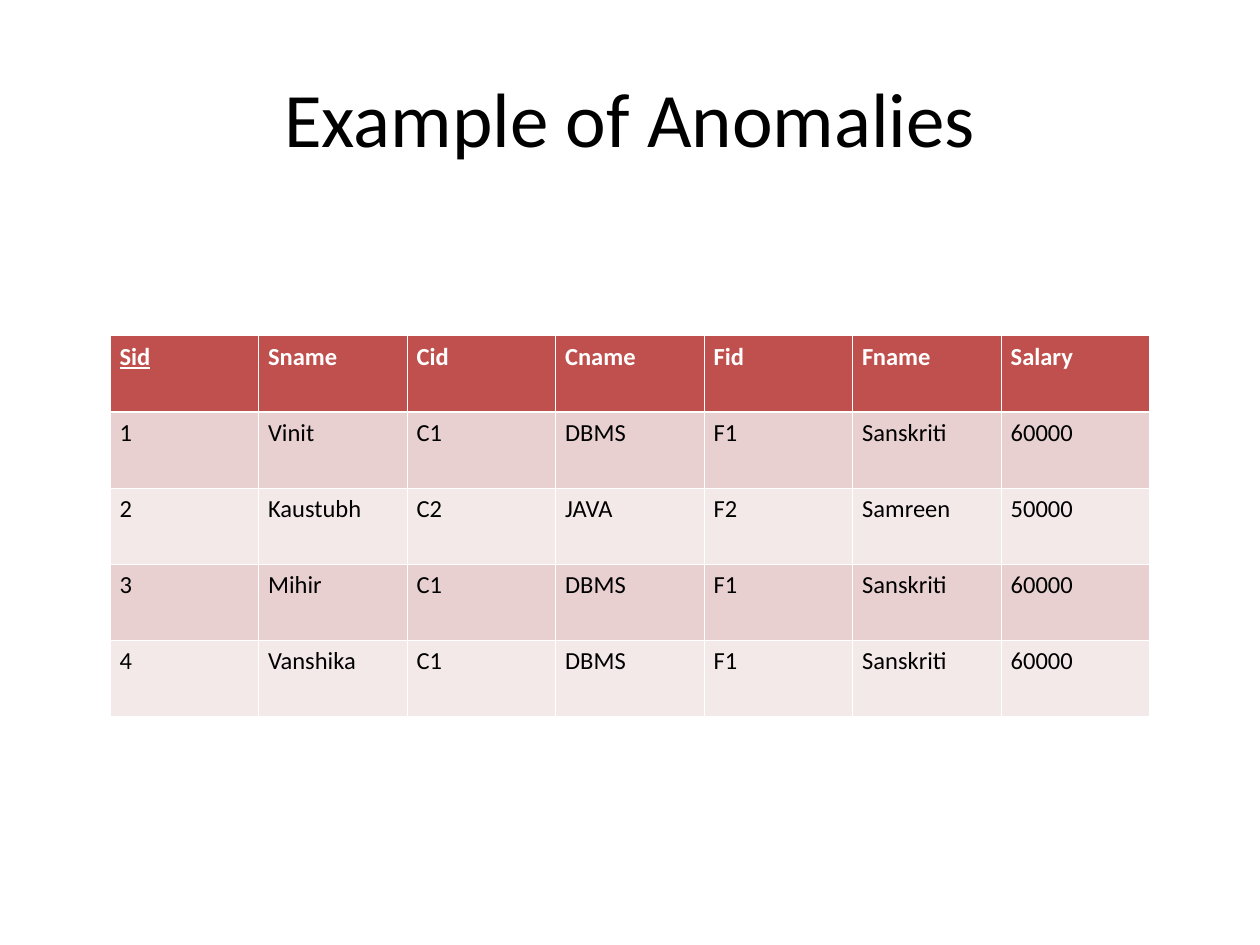
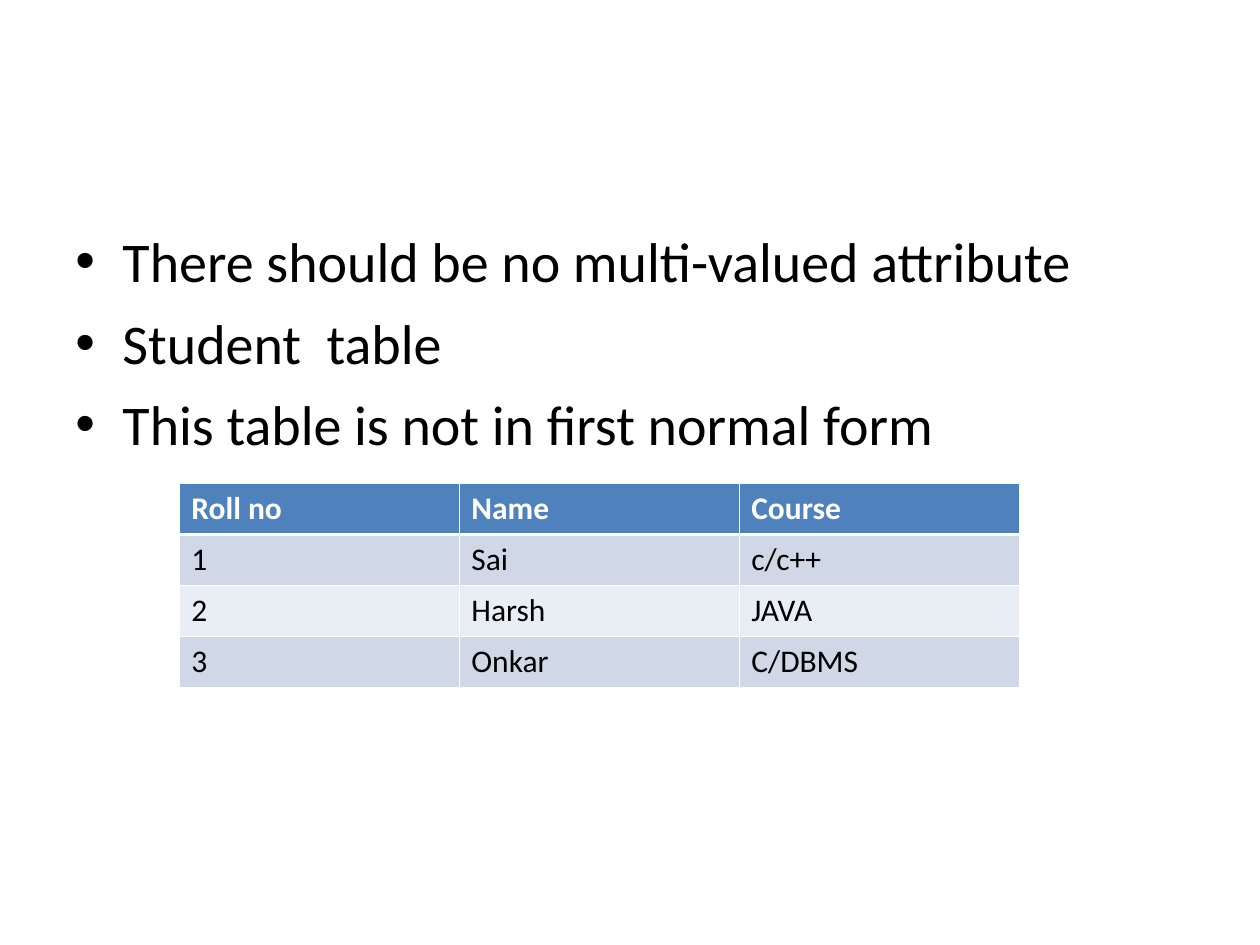
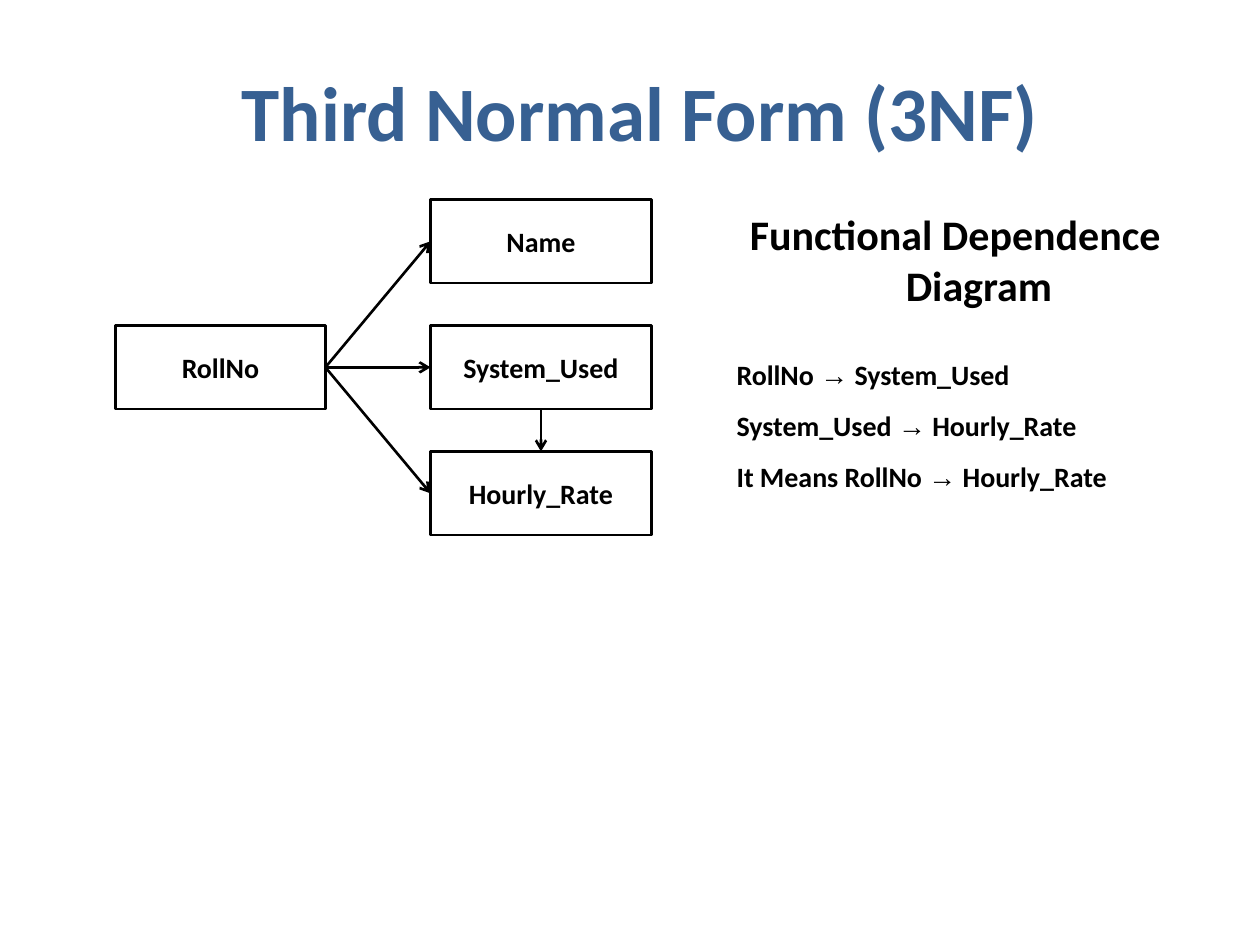
from dataclasses import dataclass
from typing import Optional

from lxml.etree import SubElement
from pptx import Presentation
from pptx.dml.color import RGBColor
from pptx.enum.shapes import MSO_CONNECTOR as Connector
from pptx.enum.shapes import MSO_SHAPE as Preset
from pptx.enum.text import MSO_ANCHOR as Anchor
from pptx.enum.text import PP_ALIGN as Align
from pptx.oxml.ns import qn
from pptx.shapes.autoshape import Shape
from pptx.slide import Slide
from pptx.table import _Cell as Cell
from pptx.util import Cm, Pt


@dataclass(frozen=True)
class Theme:
    font: str = "Calibri"
    arrow_font: str = "Arial"
    black: str = "000000"
    white: str = "FFFFFF"
    navy: str = "376092"
    title: float = 44
    bullet: float = 32
    heading: float = 24
    label: float = 16
    line: float = 1.5
    cell_line: float = 0.45
    hanging: float = 0.95


@dataclass(frozen=True)
class Area:
    left: float
    top: float
    width: float
    height: float

    def lengths(self) -> tuple[Cm, Cm, Cm, Cm]:
        return Cm(self.left), Cm(self.top), Cm(self.width), Cm(self.height)


@dataclass(frozen=True)
class TextStyle:
    size: float
    color: str = "000000"
    bold: bool = False
    align: Align = Align.LEFT
    anchor: Anchor = Anchor.MIDDLE
    spacing: float = 0
    hanging: bool = False
    bullet: Optional[str] = None


@dataclass(frozen=True)
class Grid:
    area: Area
    rows: list[list[str]]
    header: str
    bands: tuple[str, str]
    size: float
    side_margin: float
    key: Optional[str] = None


@dataclass(frozen=True)
class Attribute:
    name: str
    area: Area


@dataclass(frozen=True)
class Dependency:
    source: str
    target: str
    source_side: int
    target_side: int


THEME = Theme()
TOP, LEFT, BOTTOM, RIGHT = range(4)

ANOMALIES = Grid(
    Area(2.22, 6.77, 20.96, 7.67),
    [
        ["Sid", "Sname", "Cid", "Cname", "Fid", "Fname", "Salary"],
        ["1", "Vinit", "C1", "DBMS", "F1", "Sanskriti", "60000"],
        ["2", "Kaustubh", "C2", "JAVA", "F2", "Samreen", "50000"],
        ["3", "Mihir", "C1", "DBMS", "F1", "Sanskriti", "60000"],
        ["4", "Vanshika", "C1", "DBMS", "F1", "Sanskriti", "60000"],
    ],
    header="C0504D", bands=("E8D0D0", "F4E9E9"), size=14, side_margin=0.19, key="Sid",
)

STUDENTS = Grid(
    Area(3.61, 9.75, 16.93, 4.1),
    [
        ["Roll no", "Name", "Course"],
        ["1", "Sai", "c/c++"],
        ["2", "Harsh", "JAVA"],
        ["3", "Onkar", "C/DBMS"],
    ],
    header="4F81BD", bands=("D0D8E8", "E9EDF4"), size=18, side_margin=0.25,
)

FIRST_FORM_RULES = [
    "There should be no multi-valued attribute",
    "Student  table",
    "This table is not in first normal form",
]

DEPENDENCY_RULES = [
    "RollNo → System_Used",
    "System_Used → Hourly_Rate",
    "It Means RollNo → Hourly_Rate",
]

FIRST_TOP, ATTRIBUTE_STEP, ATTRIBUTE_HEIGHT = 4.02, 2.54, 1.69
ATTRIBUTES = [
    Attribute("RollNo", Area(2.33, FIRST_TOP + ATTRIBUTE_STEP, 4.23, ATTRIBUTE_HEIGHT)),
    *(
        Attribute(name, Area(8.68, FIRST_TOP + place * ATTRIBUTE_STEP, 4.45, ATTRIBUTE_HEIGHT))
        for place, name in enumerate(["Name", "System_Used", "Hourly_Rate"])
    ),
]

DEPENDENCIES = [
    *(Dependency("RollNo", target, RIGHT, LEFT) for target in ("Name", "System_Used", "Hourly_Rate")),
    Dependency("System_Used", "Hourly_Rate", BOTTOM, TOP),
]


def rgb(color: str) -> RGBColor:
    return RGBColor.from_string(color)


def write(shape: Shape, lines: list[str], style: TextStyle) -> None:
    frame = shape.text_frame
    frame.word_wrap = True
    frame.vertical_anchor = style.anchor
    for place, line in enumerate(lines):
        paragraph = frame.add_paragraph() if place else frame.paragraphs[0]
        before, arrow, after = line.partition("→")
        paragraph.text = before
        for piece in filter(None, (arrow, after)):
            paragraph.add_run().text = piece
        paragraph.alignment = style.align
        if place:
            paragraph.space_before = Pt(style.spacing)
        properties = paragraph._p.get_or_add_pPr()
        if style.hanging:
            properties.set("marL", str(Cm(THEME.hanging)))
            properties.set("indent", str(-Cm(THEME.hanging)))
        if style.bullet:
            SubElement(properties, qn("a:buFont")).set("typeface", THEME.arrow_font)
            SubElement(properties, qn("a:buChar")).set("char", style.bullet)
        for run in paragraph.runs:
            run.font.name = THEME.arrow_font if run.text == "→" else THEME.font
            run.font.size = Pt(style.size)
            run.font.bold = style.bold
            run.font.color.rgb = rgb(style.color)


def add_text(slide: Slide, area: Area, lines: list[str], style: TextStyle) -> None:
    write(slide.shapes.add_textbox(*area.lengths()), lines, style)


def add_title(slide: Slide, title: str, area: Area, color: str, bold: bool) -> None:
    add_text(slide, area, [title], TextStyle(THEME.title, color, bold, Align.CENTER))


def set_border(cell: Cell, side: str, width: float) -> None:
    border = SubElement(cell._tc.get_or_add_tcPr(), qn(f"a:ln{side}"), w=str(Pt(width)))
    fill = SubElement(border, qn("a:solidFill"))
    SubElement(fill, qn("a:srgbClr")).set("val", THEME.white)


def add_grid(slide: Slide, grid: Grid) -> None:
    row_count, column_count = len(grid.rows), len(grid.rows[0])
    table = slide.shapes.add_table(row_count, column_count, *grid.area.lengths()).table
    for row_place, values in enumerate(grid.rows):
        is_header = row_place == 0
        fill = grid.header if is_header else grid.bands[(row_place - 1) % 2]
        heavy_side = {0: "B", 1: "T"}.get(row_place)
        for column_place, value in enumerate(values):
            cell = table.cell(row_place, column_place)
            cell.margin_left = cell.margin_right = Cm(grid.side_margin)
            for side in "LRTB":
                set_border(cell, side, THEME.line if side == heavy_side else THEME.cell_line)
            cell.fill.solid()
            cell.fill.fore_color.rgb = rgb(fill)
            cell.text_frame.text = value
            font = cell.text_frame.paragraphs[0].runs[0].font
            font.name = THEME.font
            font.size = Pt(grid.size)
            font.bold = is_header
            font.underline = value == grid.key
            font.color.rgb = rgb(THEME.white if is_header else THEME.black)


def add_attribute(slide: Slide, attribute: Attribute) -> Shape:
    box = slide.shapes.add_shape(Preset.RECTANGLE, *attribute.area.lengths())
    box.shadow.inherit = False
    box.fill.background()
    box.line.color.rgb = rgb(THEME.black)
    box.line.width = Pt(THEME.line)
    write(box, [attribute.name], TextStyle(THEME.label, bold=True, align=Align.CENTER))
    return box


def add_dependency(slide: Slide, dependency: Dependency, boxes: dict[str, Shape]) -> None:
    arrow = slide.shapes.add_connector(Connector.STRAIGHT, 0, 0, 0, 0)
    arrow.begin_connect(boxes[dependency.source], dependency.source_side)
    arrow.end_connect(boxes[dependency.target], dependency.target_side)
    arrow.line.color.rgb = rgb(THEME.black)
    arrow.line.width = Pt(THEME.line)
    SubElement(arrow.line._get_or_add_ln(), qn("a:tailEnd")).set("type", "arrow")
    SubElement(arrow._element.spPr, qn("a:effectLst"))


def build_anomalies(slide: Slide) -> None:
    add_title(slide, "Example of Anomalies", Area(1.27, 0.76, 22.86, 3.18), THEME.black, False)
    add_grid(slide, ANOMALIES)


def build_first_form(slide: Slide) -> None:
    rules = TextStyle(THEME.bullet, anchor=Anchor.TOP, spacing=8, hanging=True, bullet="•")
    add_text(slide, Area(1.27, 4.45, 22.86, 12.57), FIRST_FORM_RULES, rules)
    add_grid(slide, STUDENTS)


def build_third_form(slide: Slide) -> None:
    add_title(slide, "Third Normal Form (3NF)", Area(1.48, 0.64, 22.86, 3.18), THEME.navy, True)
    boxes = {attribute.name: add_attribute(slide, attribute) for attribute in ATTRIBUTES}
    for dependency in DEPENDENCIES:
        add_dependency(slide, dependency, boxes)
    heading = TextStyle(THEME.heading, bold=True, align=Align.CENTER, hanging=True)
    add_text(slide, Area(14.6, 3.61, 9.32, 3.23), ["Functional Dependence Diagram"], heading)
    rules = TextStyle(THEME.label, bold=True, align=Align.JUSTIFY, spacing=10, hanging=True)
    add_text(slide, Area(14.6, 6.99, 8.89, 3.18), DEPENDENCY_RULES, rules)


def main() -> None:
    deck = Presentation()
    deck.slide_width, deck.slide_height = Cm(25.4), Cm(19.05)
    blank = deck.slide_layouts[6]
    for build in (build_anomalies, build_first_form, build_third_form):
        build(deck.slides.add_slide(blank))
    deck.save("out.pptx")


if __name__ == "__main__":
    main()
